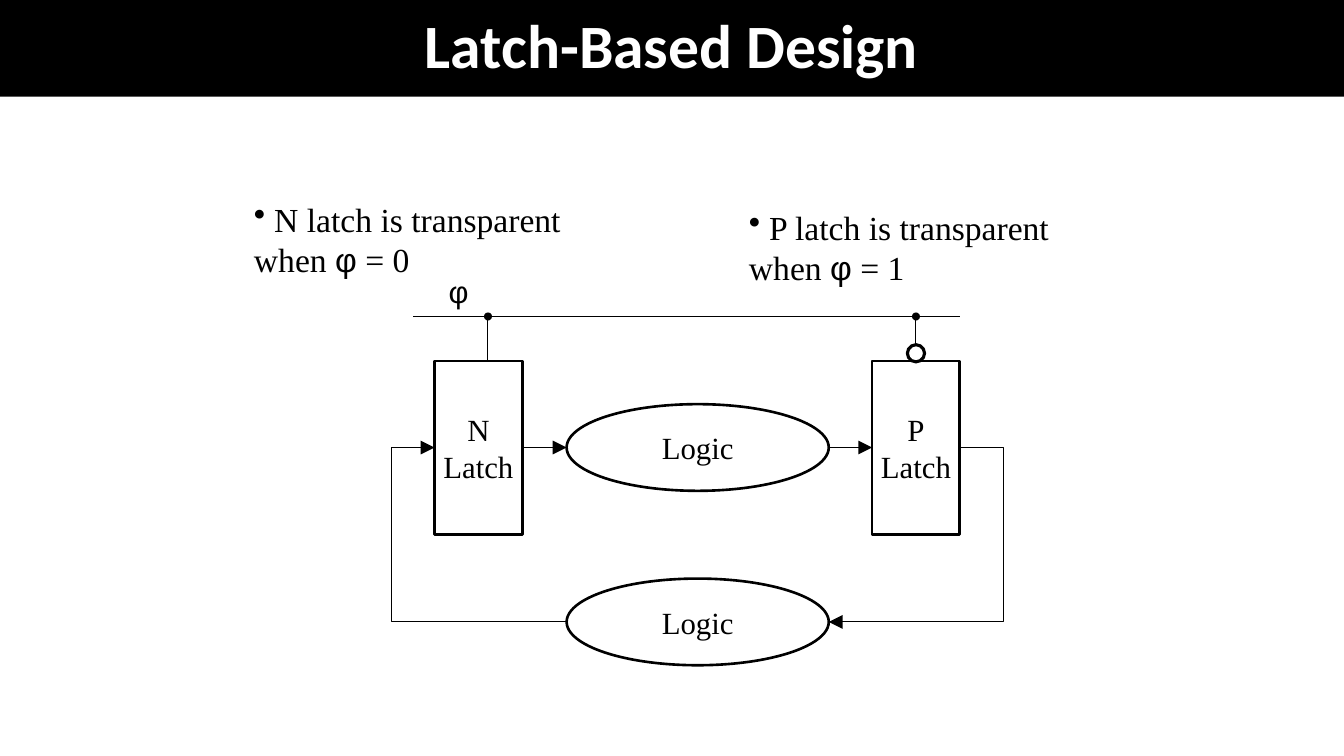
from dataclasses import dataclass

from lxml import etree
from pptx import Presentation
from pptx import slide as s
from pptx import util as u
from pptx.dml import color
from pptx.enum import shapes, text
from pptx.oxml import ns
from pptx.shapes import autoshape, base, connector
from pptx.text import text as t

Point = tuple[float, float]


@dataclass(frozen=True)
class Theme:
    ink: color.RGBColor = color.RGBColor(0, 0, 0)
    paper: color.RGBColor = color.RGBColor(255, 255, 255)
    title_font: str = "Calibri"
    body_font: str = "Times New Roman"
    greek_font: str = "Arial"
    title_size: float = 44
    note_size: float = 24
    label_size: float = 22
    wire: float = 0.75
    outline: float = 1.88
    bubble_outline: float = 2.25


@dataclass(frozen=True)
class Block:
    lines: tuple[str, ...]
    kind: shapes.MSO_SHAPE
    left: float
    top: float
    width: float
    height: float


@dataclass(frozen=True)
class Note:
    latch: str
    level: int
    left: float
    top: float
    width: float


THEME = Theme()
RECTANGLE, OVAL = shapes.MSO_SHAPE.RECTANGLE, shapes.MSO_SHAPE.OVAL
CLOCK_Y, LATCH_TOP, FORWARD_Y, FEEDBACK_Y = 3.14, 3.58, 4.44, 6.17
LATCH_WIDTH, LOGIC_WIDTH, LOGIC_HEIGHT = 0.87, 2.6, 0.86
N_LEFT, LOGIC_LEFT, P_LEFT = 4.31, 5.62, 8.65
N_CLOCK_X, P_CLOCK_X = 4.84, P_LEFT + LATCH_WIDTH / 2
LOGIC_RIGHT, P_RIGHT = LOGIC_LEFT + LOGIC_WIDTH, P_LEFT + LATCH_WIDTH

NOTES = (Note("N", 0, 2.42, 1.92, 3.42), Note("P", 1, 7.33, 2, 3.29))
FEEDBACK_WIRES: tuple[tuple[Point, ...], ...] = (
    ((P_RIGHT, FORWARD_Y), (9.95, FORWARD_Y), (9.95, FEEDBACK_Y), (LOGIC_RIGHT, FEEDBACK_Y)),
    ((LOGIC_LEFT, FEEDBACK_Y), (3.88, FEEDBACK_Y), (3.88, FORWARD_Y), (N_LEFT, FORWARD_Y)),
)


def latch(name: str, left: float) -> Block:
    height = 2 * (FORWARD_Y - LATCH_TOP)
    return Block((name, "Latch"), RECTANGLE, left, LATCH_TOP, LATCH_WIDTH, height)


def logic(middle: float) -> Block:
    top = middle - LOGIC_HEIGHT / 2
    return Block(("Logic",), OVAL, LOGIC_LEFT, top, LOGIC_WIDTH, LOGIC_HEIGHT)


def set_font(font: t.Font, name: str, size: float, ink: color.RGBColor = THEME.ink) -> None:
    font.name, font.size = name, u.Pt(size)
    font.color.rgb = ink


def clear_insets(frame: t.TextFrame) -> None:
    frame.margin_left = frame.margin_right = frame.margin_top = frame.margin_bottom = 0


def add_block(slide: s.Slide, block: Block, fill: color.RGBColor = THEME.paper,
              outline: float = 0) -> autoshape.Shape:
    """Draw a filled preset shape with its centred lines; outline 0 means no border."""
    shape = slide.shapes.add_shape(block.kind, u.Inches(block.left), u.Inches(block.top),
                                   u.Inches(block.width), u.Inches(block.height))
    shape.shadow.inherit = False
    shape.fill.solid()
    shape.fill.fore_color.rgb = fill
    if outline:
        shape.line.color.rgb = THEME.ink
        shape.line.width = u.Pt(outline)
    else:
        shape.line.fill.background()
    frame = shape.text_frame
    clear_insets(frame)
    frame.vertical_anchor = text.MSO_ANCHOR.MIDDLE
    for index, line in enumerate(block.lines):
        paragraph = frame.add_paragraph() if index else frame.paragraphs[0]
        paragraph.text = line
        paragraph.alignment = text.PP_ALIGN.CENTER
        set_font(paragraph.font, THEME.body_font, THEME.label_size)
    return shape


def add_title(slide: s.Slide, width: float) -> None:
    band = Block(("Latch-Based Design",), RECTANGLE, 0, 0, width, 0.96)
    paragraph = add_block(slide, band, THEME.ink).text_frame.paragraphs[0]
    paragraph.line_spacing = 0.9
    paragraph.font.bold = True
    set_font(paragraph.font, THEME.title_font, THEME.title_size, THEME.paper)


def add_text_box(slide: s.Slide, left: float, top: float, width: float,
                 height: float) -> t.TextFrame:
    box = slide.shapes.add_textbox(u.Inches(left), u.Inches(top),
                                   u.Inches(width), u.Inches(height))
    box.text_frame.word_wrap = True
    return box.text_frame


def add_note(slide: s.Slide, note: Note) -> None:
    paragraph = add_text_box(slide, note.left, note.top, note.width, 0.91).paragraphs[0]
    properties = paragraph._p.get_or_add_pPr()
    etree.SubElement(properties, ns.qn("a:buChar"), char="•")
    pieces = ((f" {note.latch} latch is transparent\vwhen ", THEME.body_font),
              ("φ", THEME.greek_font), (f" = {note.level}", THEME.body_font))
    for words, font_name in pieces:
        for index, part in enumerate(words.split("\v")):
            if index:
                paragraph.add_line_break()
            run = paragraph.add_run()
            run.text = part
            set_font(run.font, font_name, THEME.note_size)


def style_wire(wire: base.BaseShape, arrow: bool) -> None:
    wire.line.color.rgb = THEME.ink
    wire.line.width = u.Pt(THEME.wire)
    properties = wire._element.spPr
    if arrow:
        etree.SubElement(properties.find(ns.qn("a:ln")), ns.qn("a:tailEnd"),
                         type="triangle", w="lg", len="lg")
    etree.SubElement(properties, ns.qn("a:effectLst"))


def add_wire(slide: s.Slide, start: Point, end: Point, arrow: bool = False) -> connector.Connector:
    wire = slide.shapes.add_connector(shapes.MSO_CONNECTOR.STRAIGHT,
                                      *(u.Inches(value) for value in (*start, *end)))
    style_wire(wire, arrow)
    return wire


def add_bent_arrow(slide: s.Slide, points: tuple[Point, ...]) -> None:
    start, *corners = [(u.Inches(x), u.Inches(y)) for x, y in points]
    builder = slide.shapes.build_freeform(*start)
    builder.add_line_segments(corners, close=False)
    wire = builder.convert_to_shape()
    wire.fill.background()
    style_wire(wire, arrow=True)


def add_clock(slide: s.Slide, p_latch: autoshape.Shape) -> None:
    add_wire(slide, (4.1, CLOCK_Y), (P_RIGHT, CLOCK_Y))
    add_wire(slide, (N_CLOCK_X, CLOCK_Y), (N_CLOCK_X, LATCH_TOP))
    drop = add_wire(slide, (P_CLOCK_X, CLOCK_Y), (P_CLOCK_X, LATCH_TOP))
    drop.end_connect(p_latch, 0)
    for x in (N_CLOCK_X, P_CLOCK_X):
        add_block(slide, Block((), OVAL, x - 0.04, CLOCK_Y - 0.04, 0.08, 0.08), THEME.ink)
    add_block(slide, Block((), OVAL, 9, 3.42, 0.17, 0.17), outline=THEME.bubble_outline)
    frame = add_text_box(slide, 4.45, 2.71, 0.2, 0.37)
    clear_insets(frame)
    frame.text = "φ"
    set_font(frame.paragraphs[0].font, THEME.greek_font, THEME.label_size)


def main() -> None:
    presentation = Presentation()
    presentation.slide_width, presentation.slide_height = u.Inches(13.33), u.Inches(7.5)
    slide = presentation.slides.add_slide(presentation.slide_layouts[6])
    add_title(slide, 13.33)
    for note in NOTES:
        add_note(slide, note)
    n_latch, p_latch, *_ = [
        add_block(slide, block, outline=THEME.outline)
        for block in (latch("N", N_LEFT), latch("P", P_LEFT), logic(FORWARD_Y), logic(FEEDBACK_Y))
    ]
    into_logic = add_wire(slide, (N_LEFT + LATCH_WIDTH, FORWARD_Y), (LOGIC_LEFT, FORWARD_Y), True)
    into_logic.begin_connect(n_latch, 3)
    out_of_logic = add_wire(slide, (LOGIC_RIGHT, FORWARD_Y), (P_LEFT, FORWARD_Y), True)
    out_of_logic.end_connect(p_latch, 1)
    for points in FEEDBACK_WIRES:
        add_bent_arrow(slide, points)
    add_clock(slide, p_latch)
    presentation.save("out.pptx")


if __name__ == "__main__":
    main()
